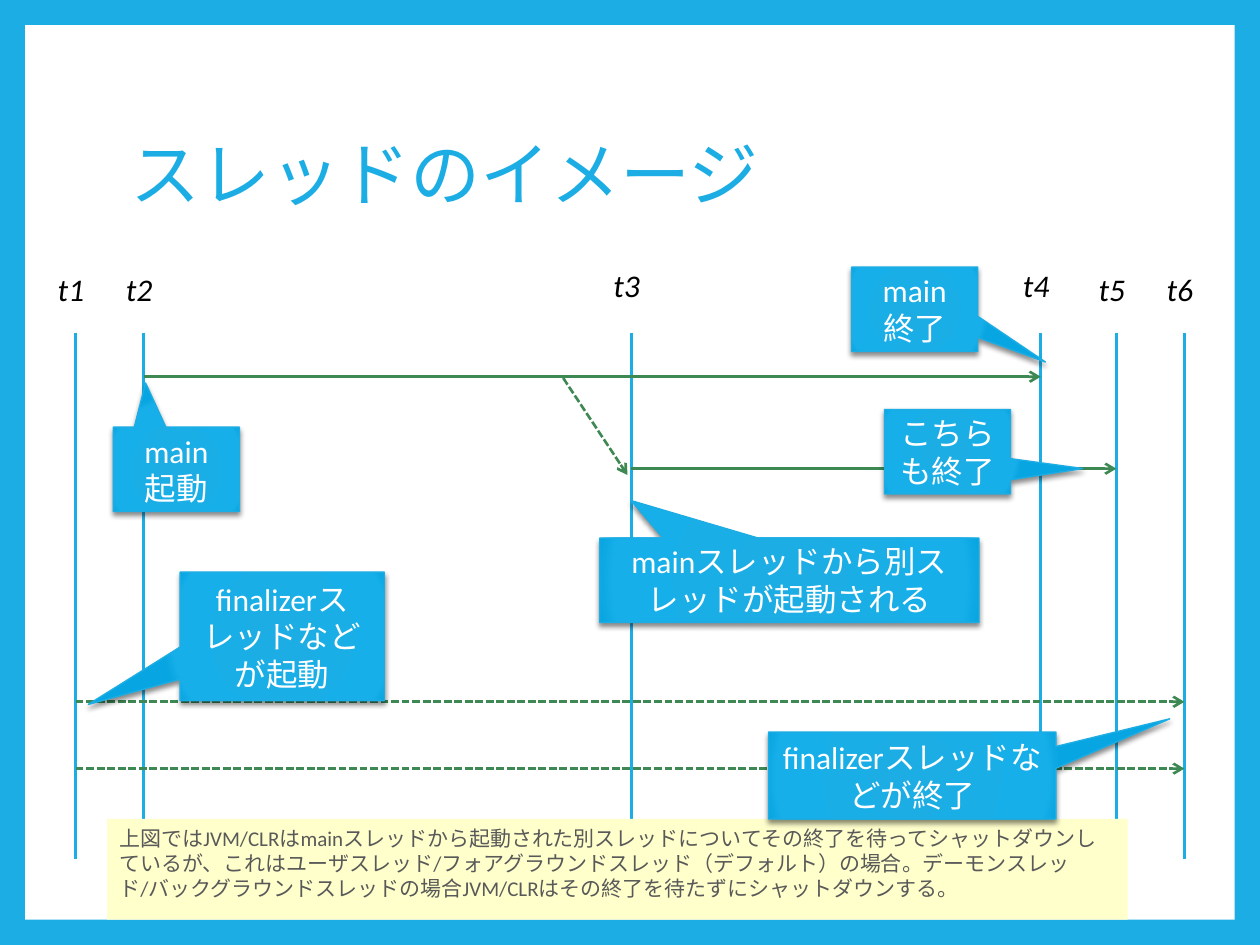
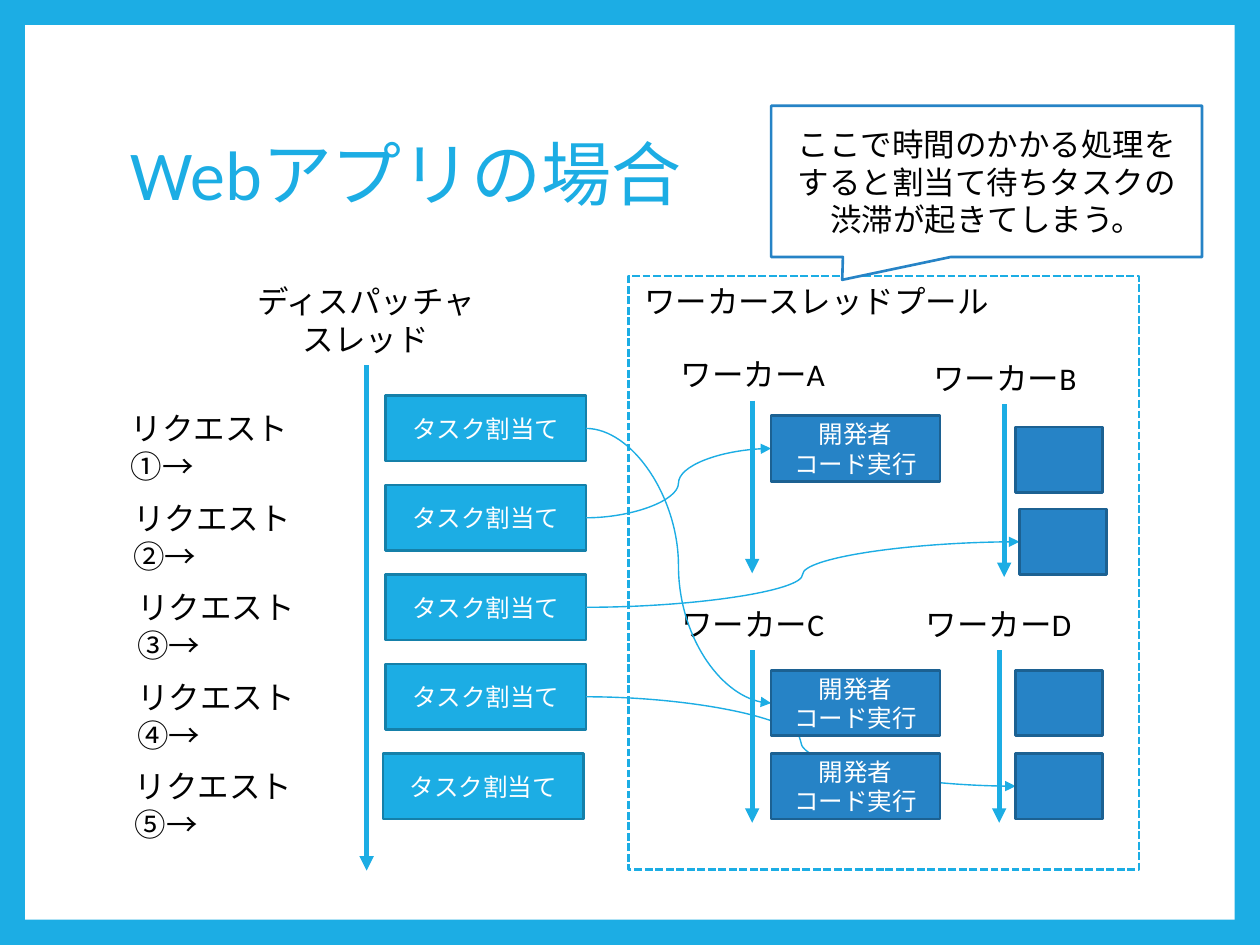
from typing import NamedTuple

import lxml.etree
import pptx
import pptx.dml.color
import pptx.enum.dml
import pptx.enum.shapes
import pptx.enum.text
import pptx.oxml
import pptx.oxml.ns
import pptx.util

Inches = pptx.util.Inches
SHAPES = pptx.enum.shapes.MSO_SHAPE
CONNECTORS = pptx.enum.shapes.MSO_CONNECTOR
ALIGN = pptx.enum.text.PP_ALIGN
ANCHOR = pptx.enum.text.MSO_ANCHOR

FONT = "Calibri"
SKY, SKY_EDGE = "1CADE4", "1580A9"
BLUE, BLUE_EDGE = "2683C6", "1C6192"
GREEN, WHITE, BLACK, GRAY, CREAM = "3E8853", "FFFFFF", "000000", "595959", "FFFFCC"


class Area(NamedTuple):
    left: float
    top: float
    width: float
    height: float


class Callout(NamedTuple):
    text: str
    area: Area
    tip: tuple[float, float]


class Arrow(NamedTuple):
    start: tuple[float, float]
    end: tuple[float, float]
    dashed: bool


class Worker(NamedTuple):
    name: str
    label_left: float
    label_top: float
    arrow_x: float


def color(value: str) -> pptx.dml.color.RGBColor:
    return pptx.dml.color.RGBColor.from_string(value)


def lengths(values) -> list:
    return [Inches(value) for value in values]


def style_line(line, stroke: str, width: float, dashed: bool = False) -> None:
    line.color.rgb = color(stroke)
    line.width = pptx.util.Pt(width)
    if dashed:
        line.dash_style = pptx.enum.dml.MSO_LINE.SQUARE_DOT


def write(box, text: str, *, size: float = 18, ink: str = BLACK, italic: bool = False,
          align=ALIGN.LEFT, anchor=ANCHOR.TOP, wrap: bool = True, spacing: float = 1.0) -> None:
    """Put text into a shape, one paragraph for each line."""
    frame = box.text_frame
    frame.word_wrap = wrap
    frame.vertical_anchor = anchor
    if not wrap:
        frame.auto_size = pptx.enum.text.MSO_AUTO_SIZE.SHAPE_TO_FIT_TEXT
    frame.text = text
    for para in frame.paragraphs:
        para.alignment = align
        para.line_spacing = spacing
        for span in para.runs:
            span.font.name = FONT
            span.font.size = pptx.util.Pt(size)
            span.font.italic = italic
            span.font.color.rgb = color(ink)


def add_label(page, text: str, area: Area, **text_format) -> None:
    box = page.shapes.add_textbox(*lengths(area))
    write(box, text, **{"wrap": False, **text_format})


def add_box(page, area: Area, fill: str, edge: str = "", text: str = "", *,
            kind=SHAPES.RECTANGLE, dashed: bool = False, **text_format):
    box = page.shapes.add_shape(kind, *lengths(area))
    box.shadow.inherit = False
    box.fill.solid()
    box.fill.fore_color.rgb = color(fill)
    if edge:
        style_line(box.line, edge, 1.5, dashed)
    else:
        box.line.fill.background()
    if text:
        centred = {"align": ALIGN.CENTER, "anchor": ANCHOR.MIDDLE}
        write(box, text, **{**centred, **text_format})
    return box


def add_line(page, start: tuple[float, float], end: tuple[float, float], stroke: str,
             width: float, *, head: str = "", dashed: bool = False, kind=CONNECTORS.STRAIGHT):
    link = page.shapes.add_connector(kind, *lengths(start + end))
    style_line(link.line, stroke, width, dashed)
    properties = link._element.spPr
    if head:
        outline = properties.find(pptx.oxml.ns.qn("a:ln"))
        lxml.etree.SubElement(outline, pptx.oxml.ns.qn("a:tailEnd"), type=head)
    lxml.etree.SubElement(properties, pptx.oxml.ns.qn("a:effectLst"))
    return link


def point_callout(box, tip: tuple[float, float]) -> None:
    for index, offset in enumerate(tip):
        box.adjustments[index] = offset


def add_glossy_callout(page, callout: Callout) -> None:
    """Draw a callout with a radial gradient and a soft shadow."""
    box = add_box(page, callout.area, SKY, SKY, callout.text,
                  kind=SHAPES.RECTANGULAR_CALLOUT, ink=WHITE)
    point_callout(box, callout.tip)
    box.line.width = pptx.util.Pt(0.79)
    stops = "".join(
        f'<a:gs pos="{place * 1000}"><a:srgbClr val="{tone}"/></a:gs>'
        for place, tone in ((0, SKY), (90, "17AFE9"), (100, "07A5E1")))
    namespace = pptx.oxml.ns.nsdecls("a")
    gradient = pptx.oxml.parse_xml(
        f'<a:gradFill {namespace} rotWithShape="1"><a:gsLst>{stops}</a:gsLst>'
        '<a:path path="circle"><a:fillToRect l="100000" t="100000" r="100000" b="100000"/>'
        '</a:path></a:gradFill>')
    shadow = pptx.oxml.parse_xml(
        f'<a:outerShdw {namespace} blurRad="38100" dist="25400" dir="5400000" rotWithShape="0">'
        f'<a:srgbClr val="{BLACK}"><a:alpha val="45000"/></a:srgbClr></a:outerShdw>')
    properties = box._element.spPr
    properties.replace(properties.find(pptx.oxml.ns.qn("a:solidFill")), gradient)
    properties.find(pptx.oxml.ns.qn("a:effectLst")).append(shadow)


def add_page(deck, title: str):
    """Start a slide with the shared frame and title."""
    page = deck.slides.add_slide(deck.slide_layouts[6])
    page.background.fill.solid()
    page.background.fill.fore_color.rgb = color(SKY)
    add_box(page, Area(0.2, 0.2, 9.6, 7.1), WHITE)
    add_label(page, title, Area(0.94, 0.67, 8.1, 1.48), size=40, ink=SKY,
              anchor=ANCHOR.MIDDLE, wrap=True, spacing=0.9)
    return page


def build_thread_timeline(deck) -> None:
    page = add_page(deck, "スレッドのイメージ")

    # Moments in time
    moments = (0.6, 1.14, 5.01, 8.26, 8.86, 9.4)
    for number, x in enumerate(moments, start=1):
        add_line(page, (x, 2.64), (x, 6.82), SKY, 1.5)
        top = 2.06 if number in (3, 4) else 2.09
        add_label(page, f"t{number}", Area(x - 0.24, top, 0.49, 0.4), italic=True)

    # Threads
    t1, t2, t3, t4, t5, t6 = moments
    threads = (
        Arrow((t2, 2.99), (t4, 2.99), False),
        Arrow((t1, 5.57), (t6, 5.57), True),
        Arrow((t1, 6.1), (t6, 6.1), True),
        Arrow((t3, 3.72), (t5, 3.72), False),
        Arrow((4.47, 3), (4.98, 3.77), True),
    )
    for thread in threads:
        add_line(page, thread.start, thread.end, GREEN, 1.5, head="arrow", dashed=thread.dashed)

    # Note at the foot, below the callouts
    note = ("上図ではJVM/CLRはmainスレッドから起動された別スレッドについてその終了を待って"
            "シャットダウンしているが、これはユーザスレッド/フォアグラウンドスレッド（デフォルト）の場合。"
            "デーモンスレッド/バックグラウンドスレッドの場合JVM/CLRはその終了を待たずに"
            "シャットダウンする。")
    add_box(page, Area(0.85, 6.5, 8.1, 0.8), CREAM, text=note, size=12, ink=GRAY,
            align=ALIGN.LEFT, anchor=ANCHOR.TOP)

    # Events
    callouts = (
        Callout("main\n起動", Area(0.9, 3.39, 1, 0.67), (-0.244, -1.023)),
        Callout("mainスレッドから別スレッドが起動される",
                Area(4.76, 4.27, 3.01, 0.67), (-0.417, -0.943)),
        Callout("main\n終了", Area(6.76, 2.12, 1, 0.67), (1.038, 0.625)),
        Callout("こちらも終了", Area(7.02, 3.25, 1, 0.67), (1.074, 0.2)),
        Callout("finalizerスレッドなどが起動", Area(1.43, 4.54, 1.62, 1.02), (-0.95, 0.53)),
        Callout("finalizerスレッドなどが終了", Area(6.1, 5.81, 2.28, 0.69), (0.896, -0.652)),
    )
    for callout in callouts:
        add_glossy_callout(page, callout)


def build_web_app(deck) -> None:
    page = add_page(deck, "Webアプリの場合")

    # Dispatcher thread
    add_line(page, (2.91, 2.9), (2.91, 6.91), SKY, 2.75, head="triangle")
    add_label(page, "ディスパッチャ\nスレッド", Area(1.92, 2.19, 1.97, 0.71), align=ALIGN.CENTER)

    # Worker thread pool
    add_box(page, Area(4.99, 2.19, 4.05, 4.71), WHITE, SKY, dashed=True)
    add_label(page, "ワーカースレッドプール", Area(4.99, 2.19, 2.98, 0.4), align=ALIGN.CENTER)
    workers = (
        Worker("A", 5.29, 2.77, 5.97),
        Worker("C", 5.29, 4.75, 5.97),
        Worker("B", 7.29, 2.8, 7.97),
        Worker("D", 7.24, 4.75, 7.93),
    )
    for worker in workers:
        start = worker.label_top + 0.41
        add_line(page, (worker.arrow_x, start), (worker.arrow_x, start + 1.37), SKY, 2.75,
                 head="triangle")
        add_label(page, f"ワーカー{worker.name}",
                  Area(worker.label_left, worker.label_top, 1.37, 0.4), align=ALIGN.CENTER)

    # Requests and the tasks given out for them
    row_step = 0.71
    request_lefts = (0.94, 0.96, 0.99, 0.99, 0.97)
    tasks = []
    for row, (mark, left) in enumerate(zip("①②③④⑤", request_lefts)):
        add_label(page, f"リクエスト{mark}→", Area(left, 3.2 + row * row_step, 1.94, 0.4))
        task_left = 3.04 if row == 4 else 3.06
        tasks.append(add_box(page, Area(task_left, 3.14 + row * row_step, 1.59, 0.52),
                             SKY, SKY_EDGE, "タスク割当て", size=14, ink=WHITE))

    # Curves from the first four tasks lie behind the work boxes
    curves = []
    for task in tasks[:4]:
        curve = add_line(page, (4.65, 3.4), (6.12, 3.4), SKY, 0.79, head="triangle",
                         kind=CONNECTORS.CURVE)
        curve.begin_connect(task, 3)
        curves.append(curve)

    # Work done by the workers
    code_a, code_c, _ = [
        add_box(page, Area(6.12, top, 1.34, 0.52), BLUE, BLUE_EDGE, "開発者\nコード実行",
                size=14, ink=WHITE)
        for top in (3.3, 5.32, 5.98)]
    _, work_b, _, work_d = [
        add_box(page, Area(left, top, 0.69, 0.52), BLUE, BLUE_EDGE)
        for left, top in ((8.06, 3.39), (8.09, 4.04), (8.06, 5.32), (8.06, 5.98))]
    for curve, work in zip(curves, (code_c, code_a, work_b, work_d)):
        curve.end_connect(work, 1)

    # Warning
    warning = add_box(page, Area(6.12, 0.84, 3.42, 1.2), WHITE, BLUE,
                      "ここで時間のかかる処理をすると割当て待ちタスクの渋滞が起きてしまう。",
                      kind=SHAPES.RECTANGULAR_CALLOUT)
    point_callout(warning, (-0.335, 0.651))


def main() -> None:
    deck = pptx.Presentation()
    deck.slide_width, deck.slide_height = Inches(10), Inches(7.5)
    build_thread_timeline(deck)
    build_web_app(deck)
    deck.save("out.pptx")


if __name__ == "__main__":
    main()
